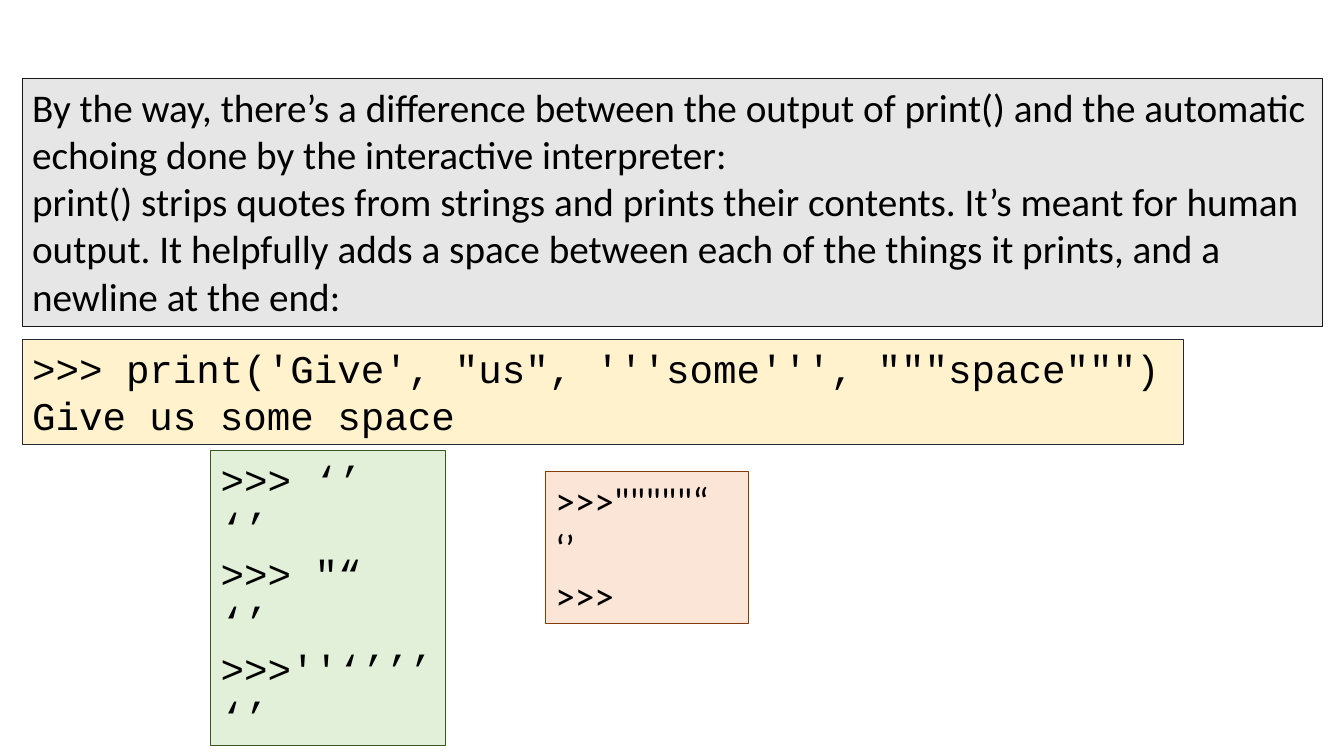
from dataclasses import dataclass

from pptx import Presentation
from pptx import util as u
from pptx.dml.color import RGBColor
from pptx.enum import shapes, text

SLIDE_WIDTH, SLIDE_HEIGHT = u.Inches(13.33), u.Inches(7.5)
PROSE_FONT, CODE_FONT = "Calibri", "Courier New"
COLOURS = {
    "text": "000000",
    "grey": "E7E6E6", "grey line": "181717",
    "yellow": "FFF2CC", "yellow line": "222A35",
    "green": "E2F0D9", "green line": "385723",
    "orange": "FBE5D6", "orange line": "843C0B",
}


@dataclass(frozen=True)
class Panel:
    """A framed text; lengths are percentages of the slide's size."""
    left: float
    top: float
    width: float
    height: float
    colour: str
    font: str
    lines: tuple[str, ...]


MARGIN = 1.65
PANELS = (
    Panel(MARGIN, 10.4, 96.77, 32.8, "grey", PROSE_FONT, (
        "By the way, there’s a difference between the output of print() and "
        "the automatic echoing done by the interactive interpreter:",
        "print() strips quotes from strings and prints their contents. It’s "
        "meant for human output. It helpfully adds a space between each of "
        "the things it prints, and a newline at the end:",
    )),
    Panel(MARGIN, 44.93, 86.42, 13.87, "yellow", CODE_FONT, (
        ">>> print('Give', " '"us", ' "'''some''', " '"""space""")',
        "Give us some space",
    )),
    Panel(15.68, 59.6, 17.48, 39.07, "green", CODE_FONT, (
        ">>> ‘’", "‘’", '>>> "“', "‘’", ">>>''‘’’’", "‘’",
    )),
    Panel(40.59, 62.4, 15.08, 20.13, "orange", PROSE_FONT, (
        '>>>"""""“', "‘’", ">>>",
    )),
)


def rgb(name: str) -> RGBColor:
    return RGBColor.from_string(COLOURS[name])


def across(percent: float) -> u.Emu:
    return u.Emu(round(SLIDE_WIDTH * percent / 100))


def down(percent: float) -> u.Emu:
    return u.Emu(round(SLIDE_HEIGHT * percent / 100))


def write(frame, lines: tuple[str, ...], *, font: str, size: float = 28,
          colour: str = "text") -> None:
    frame.word_wrap = True
    frame.auto_size = text.MSO_AUTO_SIZE.SHAPE_TO_FIT_TEXT
    frame.vertical_anchor = text.MSO_ANCHOR.TOP
    for index, line in enumerate(lines):
        paragraph = frame.add_paragraph() if index else frame.paragraphs[0]
        paragraph.alignment = text.PP_ALIGN.LEFT
        run = paragraph.add_run()
        run.text = line
        run.font.name = font
        run.font.size = u.Pt(size)
        run.font.color.rgb = rgb(colour)


def draw_panel(slide, panel: Panel) -> None:
    box = slide.shapes.add_shape(
        shapes.MSO_SHAPE.RECTANGLE, across(panel.left), down(panel.top),
        across(panel.width), down(panel.height))
    box.shadow.inherit = False
    box.fill.solid()
    box.fill.fore_color.rgb = rgb(panel.colour)
    box.line.color.rgb = rgb(f"{panel.colour} line")
    box.line.width = u.Pt(0.75)
    write(box.text_frame, panel.lines, font=panel.font)


def main() -> None:
    deck = Presentation()
    deck.slide_width, deck.slide_height = SLIDE_WIDTH, SLIDE_HEIGHT
    blank_layout = deck.slide_layouts[6]
    slide = deck.slides.add_slide(blank_layout)
    for panel in PANELS:
        draw_panel(slide, panel)
    deck.save("out.pptx")


if __name__ == "__main__":
    main()
